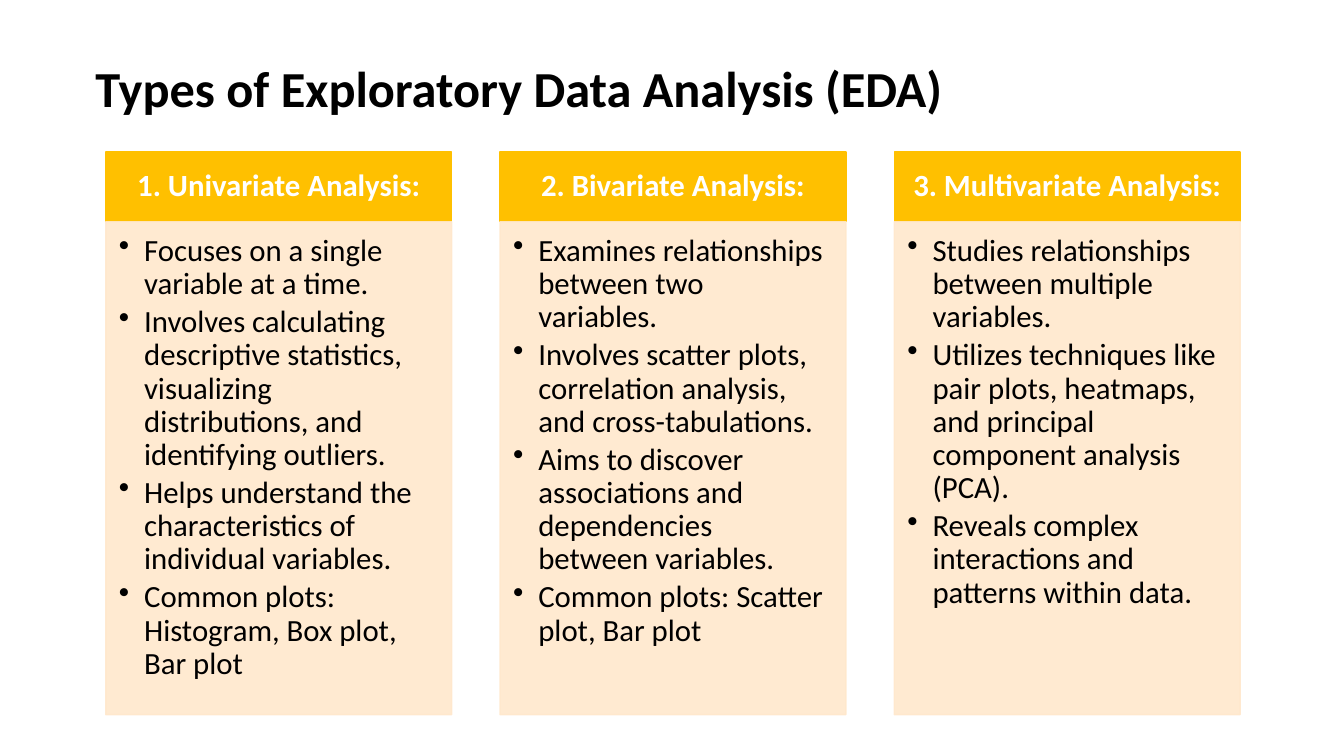
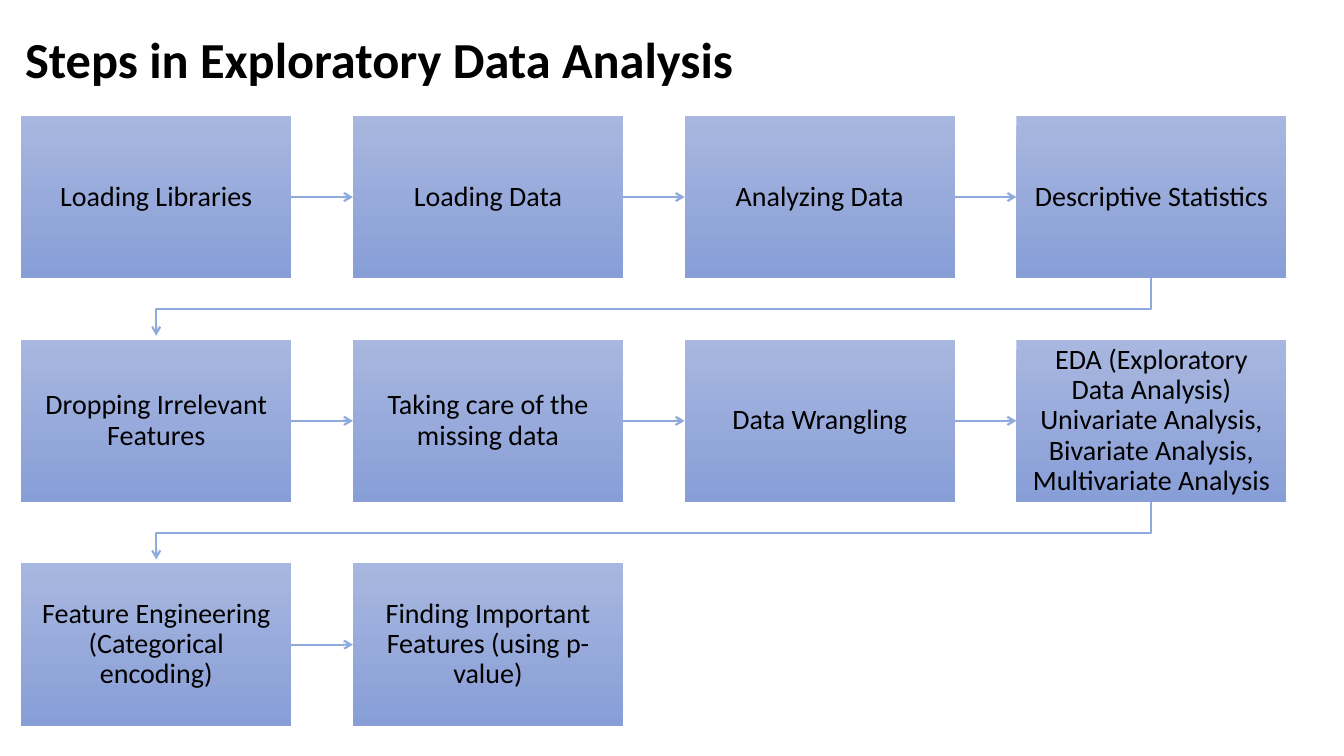
from itertools import pairwise

from lxml.etree import SubElement
from pptx import Presentation
from pptx.dml.color import RGBColor
from pptx.enum.shapes import MSO_CONNECTOR, MSO_SHAPE
from pptx.enum.text import MSO_ANCHOR, PP_ALIGN
from pptx.oxml.ns import qn
from pptx.util import Inches, Pt

BLACK = RGBColor(0x00, 0x00, 0x00)
WHITE = RGBColor(0xFF, 0xFF, 0xFF)
GOLD = RGBColor(0xFF, 0xC0, 0x00)
CREAM = RGBColor(0xFF, 0xE8, 0xCC)
LIGHT = RGBColor(0xA8, 0xB7, 0xDF)
DARK = RGBColor(0x88, 0x9E, 0xD7)
BLUE = RGBColor(0x8F, 0xAA, 0xDC)
FONT = "Calibri"

TYPES = [
    ("1. Univariate Analysis:", [
        "Focuses on a single variable at a time.",
        "Involves calculating descriptive statistics, visualizing "
        "distributions, and identifying outliers.",
        "Helps understand the characteristics of individual variables.",
        "Common plots: Histogram, Box plot, Bar plot",
    ]),
    ("2. Bivariate Analysis:", [
        "Examines relationships between two variables.",
        "Involves scatter plots, correlation analysis, and cross-tabulations.",
        "Aims to discover associations and dependencies between variables.",
        "Common plots: Scatter plot, Bar plot",
    ]),
    ("3. Multivariate Analysis:", [
        "Studies relationships between multiple variables.",
        "Utilizes techniques like pair plots, heatmaps, and principal "
        "component analysis (PCA).",
        "Reveals complex interactions and patterns within data.",
    ]),
]

STEPS = [
    "Loading Libraries",
    "Loading Data",
    "Analyzing Data",
    "Descriptive Statistics",
    "Dropping Irrelevant Features",
    "Taking care of the missing data",
    "Data Wrangling",
    "EDA (Exploratory Data Analysis) Univariate Analysis, "
    "Bivariate Analysis, Multivariate Analysis",
    "Feature Engineering (Categorical encoding)",
    "Finding Important Features (using p-value)",
]
COLS = 4


def write(shape, lines, size, color=BLACK, bold=False, align=PP_ALIGN.CENTER,
          anchor=MSO_ANCHOR.MIDDLE, pads=(0.1, 0.05, 0.1, 0.05)):
    frame = shape.text_frame
    frame.word_wrap = True
    frame.vertical_anchor = anchor
    (frame.margin_left, frame.margin_top,
     frame.margin_right, frame.margin_bottom) = map(Inches, pads)
    frame.text = "\n".join(lines)
    for para in frame.paragraphs:
        para.alignment = align
        para.line_spacing = 0.9
        font = para.font
        font.name, font.size, font.bold = FONT, Pt(size), bold
        font.color.rgb = color
    return frame.paragraphs


def add_title(slide, text, left, top, width, height, align):
    box = slide.shapes.add_textbox(*map(Inches, (left, top, width, height)))
    write(box, [text], 36, bold=True, align=align, anchor=MSO_ANCHOR.TOP)


def add_rect(slide, left, top, width, height):
    rect = slide.shapes.add_shape(
        MSO_SHAPE.RECTANGLE, *map(Inches, (left, top, width, height)))
    rect.shadow.inherit = False
    return rect


def paint(shape, color):
    shape.fill.solid()
    shape.fill.fore_color.rgb = color
    shape.line.color.rgb = color
    shape.line.width = Pt(1)


def fade(shape, share):
    for color in shape.element.spPr.iter(qn("a:srgbClr")):
        SubElement(color, qn("a:alpha"), val=str(share * 1000))


def add_dots(paras):
    for para in paras:
        para.space_after = Pt(3.3)
        props = para._p.get_or_add_pPr()
        props.set("marL", str(Inches(0.25)))
        props.set("indent", str(Inches(-0.25)))
        dot = props.makeelement(qn("a:buChar"), {"char": "•"})
        props.insert_element_before(dot, "a:tabLst", "a:defRPr", "a:extLst")


def add_panel(slide, left, head, points):
    top, width, tall = 1.51, 3.43, 0.69
    band = add_rect(slide, left, top, width, tall)
    paint(band, GOLD)
    write(band, [head], 22, WHITE, True, pads=(0.17, 0.1, 0.17, 0.1))
    body = add_rect(slide, left, top + tall, width, 4.89)
    paint(body, CREAM)
    fade(body, 90)
    add_dots(write(body, points, 22, align=PP_ALIGN.LEFT,
                   anchor=MSO_ANCHOR.TOP, pads=(0.13, 0.13, 0.17, 0.19)))


def add_step(slide, index, text):
    row, col = divmod(index, COLS)
    box = add_rect(slide, 0.21 + col * 3.29, 1.15 + row * 2.22, 2.68, 1.61)
    box.fill.gradient()
    box.fill.gradient_angle = 270
    for stop, color in zip(box.fill.gradient_stops, (LIGHT, DARK)):
        stop.color.rgb = color
    box.line.fill.background()
    write(box, [text], 20, pads=(0.16,) * 4)
    return box


def style_arrow(shape):
    shape.line.color.rgb = BLUE
    shape.line.width = Pt(1.5)
    SubElement(shape.element.spPr.get_or_add_ln(), qn("a:tailEnd"), type="arrow")


def join_row(slide, start, end):
    arrow = slide.shapes.add_connector(MSO_CONNECTOR.STRAIGHT, 0, 0, 0, 0)
    arrow.begin_connect(start, 3)
    arrow.end_connect(end, 1)
    style_arrow(arrow)
    SubElement(arrow.element.spPr, qn("a:effectLst"))


def wrap_row(slide, start, end):
    right = start.left + start.width // 2
    left = end.left + end.width // 2
    top = start.top + start.height
    turn = (top + end.top) // 2
    pen = slide.shapes.build_freeform(right, top)
    pen.add_line_segments(
        [(right, turn), (left, turn), (left, end.top - Inches(0.04))], close=False)
    arrow = pen.convert_to_shape()
    arrow.fill.background()
    arrow.shadow.inherit = False
    style_arrow(arrow)


def add_types(slide):
    add_title(slide, "Types of Exploratory Data Analysis (EDA)",
              0.2, 0.59, 9.9, 0.89, PP_ALIGN.CENTER)
    for col, (head, points) in enumerate(TYPES):
        add_panel(slide, 1.05 + col * 3.91, head, points)


def add_steps(slide):
    add_title(slide, "Steps in Exploratory Data Analysis",
              0.15, 0.3, 7.4, 1.16, PP_ALIGN.LEFT)
    boxes = [add_step(slide, index, text) for index, text in enumerate(STEPS)]
    for start, end in pairwise(boxes):
        join = join_row if start.top == end.top else wrap_row
        join(slide, start, end)


def main():
    deck = Presentation()
    deck.slide_width, deck.slide_height = Inches(13.33), Inches(7.5)
    for build in (add_types, add_steps):
        build(deck.slides.add_slide(deck.slide_layouts[6]))
    deck.save("out.pptx")


if __name__ == "__main__":
    main()
